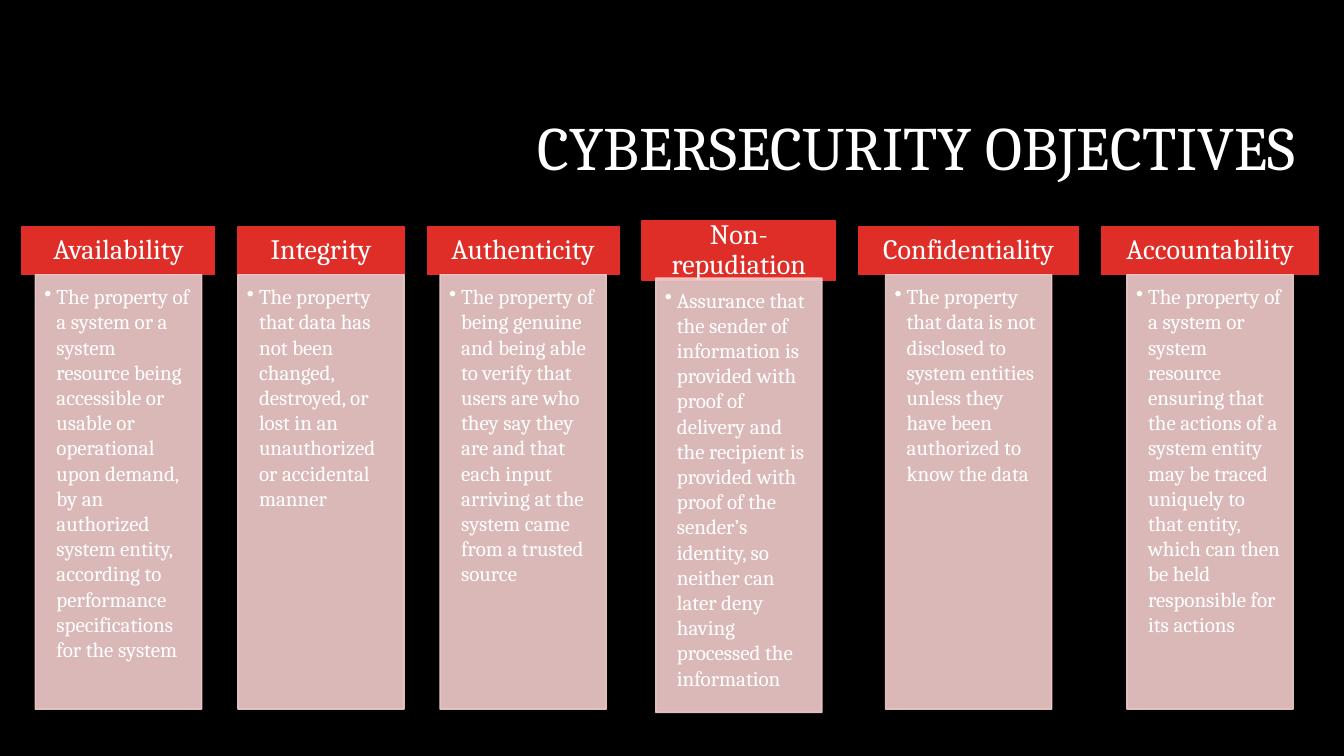
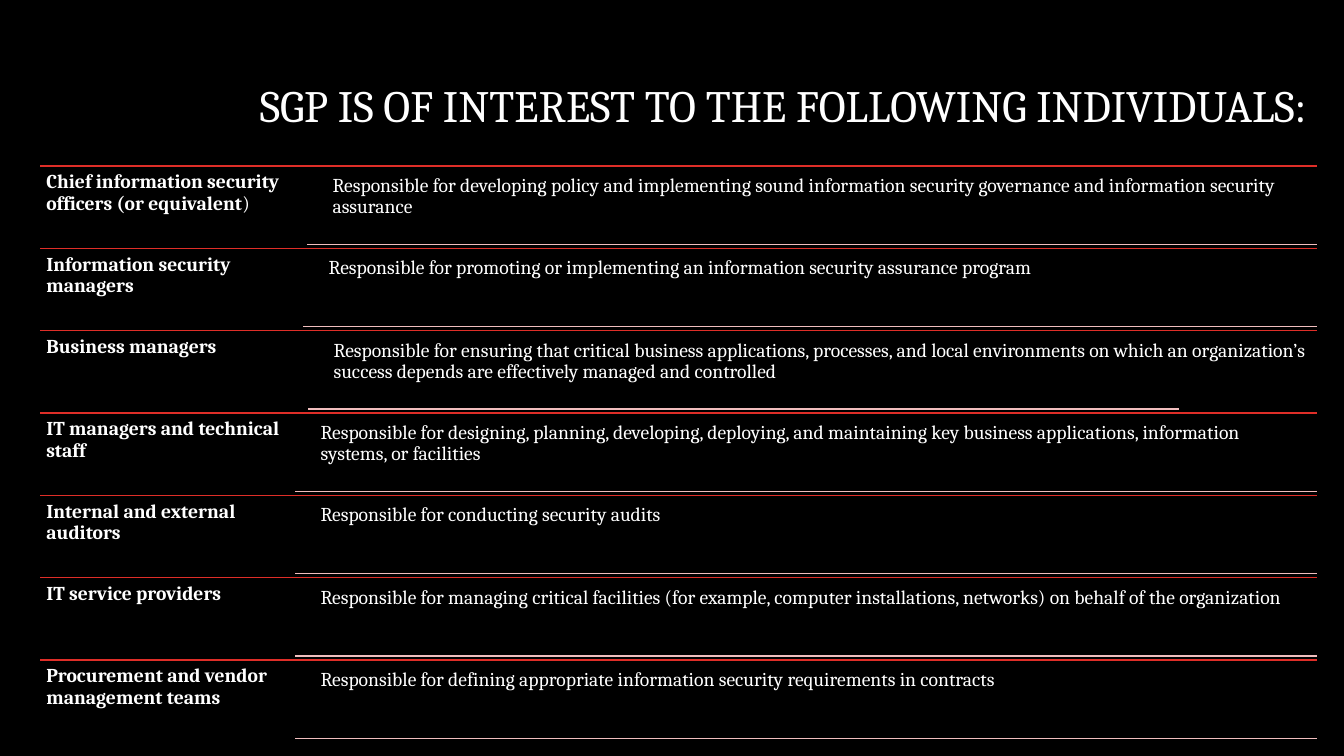
from lxml import etree
from pptx import Presentation
from pptx.dml.color import RGBColor
from pptx.enum.shapes import MSO_CONNECTOR, MSO_SHAPE
from pptx.enum.text import MSO_ANCHOR, PP_ALIGN
from pptx.oxml.ns import qn
from pptx.util import Inches, Pt

RECTANGLE = MSO_SHAPE.RECTANGLE
STRAIGHT = MSO_CONNECTOR.STRAIGHT
TOP, MIDDLE = MSO_ANCHOR.TOP, MSO_ANCHOR.MIDDLE
LEFT, CENTER, RIGHT = PP_ALIGN.LEFT, PP_ALIGN.CENTER, PP_ALIGN.RIGHT

BLACK = RGBColor(0x00, 0x00, 0x00)
WHITE = RGBColor(0xFF, 0xFF, 0xFF)
RED = RGBColor(0xDF, 0x2E, 0x28)
PALE_RED = RGBColor(0xF3, 0xCD, 0xCD)
PINK = RGBColor(0xF0, 0xBE, 0xBE)

FONT = "Cambria"
COLUMNS, ROWS = 160, 90
WIDTH, HEIGHT = Inches(13.333), Inches(7.5)

CARD_LEFT, CARD_GAP = 2.64, 2.76
HEADER_TOP, HEADER_HEIGHT = 27, 5.7
PANEL_WIDTH, PANEL_HEIGHT = 19.8, 51.72
PANEL_TOP = HEADER_TOP + HEADER_HEIGHT

TABLE_LEFT, TABLE_RIGHT = 4.8, 156.84
TABLE_TOP, TABLE_STEP = 19.76, 9.8
TEXT_INDENT, TEXT_DROP, TEXT_HEIGHT = 2.28, 0.44, 8.9

OBJECTIVES = [
    ("Availability", 22.92, 0, 0,
     "The property of a system or a system resource being accessible or usable or "
     "operational upon demand, by an authorized system entity, according to "
     "performance specifications for the system"),
    ("Integrity", 19.8, 0, 0,
     "The property that data has not been changed, destroyed, or lost in an "
     "unauthorized or accidental manner"),
    ("Authenticity", 22.8, 0, 0,
     "The property of being genuine and being able to verify that users are who "
     "they say they are and that each input arriving at the system came from a "
     "trusted source"),
    ("Non-repudiation", 23.04, 1.4, 0.4,
     "Assurance that the sender of information is provided with proof of delivery "
     "and the recipient is provided with proof of the sender’s identity, so "
     "neither can later deny having processed the information"),
    ("Confidentiality", 26.16, 0, 0,
     "The property that data is not disclosed to system entities unless they have "
     "been authorized to know the data"),
    ("Accountability", 25.8, 0, 0,
     "The property of a system or system resource ensuring that the actions of a "
     "system entity may be traced uniquely to that entity, which can then be held "
     "responsible for its actions"),
]

INDIVIDUALS = [
    ("Chief information security officers (or equivalent", ")", 31.8, TABLE_RIGHT,
     "Responsible for developing policy and implementing sound information security "
     "governance and information security assurance"),
    ("Information security managers", "", 31.32, TABLE_RIGHT,
     "Responsible for promoting or implementing an information security assurance "
     "program"),
    ("Business managers", "", 31.92, 140.4,
     "Responsible for ensuring that critical business applications, processes, and "
     "local environments on which an organization’s success depends are effectively "
     "managed and controlled"),
    ("IT managers and technical staff", "", 30.36, TABLE_RIGHT,
     "Responsible for designing, planning, developing, deploying, and maintaining "
     "key business applications, information systems, or facilities"),
    ("Internal and external auditors", "", 30.36, TABLE_RIGHT,
     "Responsible for conducting security audits"),
    ("IT service providers", "", 30.36, TABLE_RIGHT,
     "Responsible for managing critical facilities (for example, computer "
     "installations, networks) on behalf of the organization"),
    ("Procurement and vendor management teams", "", 30.36, TABLE_RIGHT,
     "Responsible for defining appropriate information security requirements in "
     "contracts"),
]


def across(columns):
    return round(WIDTH * columns / COLUMNS)


def down(rows):
    return round(HEIGHT * rows / ROWS)


def place(left, top, width, height):
    return across(left), down(top), across(width), down(height)


def write(box, text, size, tail="", bold=False, align=LEFT, anchor=TOP,
          spacing=0.9, insets=(0.06, 0.06, 0.06, 0.06), bullet=False):
    frame = box.text_frame
    frame.word_wrap = True
    frame.vertical_anchor = anchor
    (frame.margin_left, frame.margin_top,
     frame.margin_right, frame.margin_bottom) = map(Inches, insets)
    para = frame.paragraphs[0]
    para.alignment = align
    para.line_spacing = spacing
    if bullet:
        add_bullet(para)
    for content, weight in ((text, bold), (tail, False)):
        if content:
            span = para.add_run()
            span.text = content
            span.font.name = FONT
            span.font.size = Pt(size)
            span.font.bold = weight
            span.font.color.rgb = WHITE


def add_bullet(para):
    properties = para._p.get_or_add_pPr()
    properties.set("marL", str(Inches(0.12)))
    properties.set("indent", str(-Inches(0.12)))
    etree.SubElement(properties, qn("a:buChar")).set("char", "•")


def add_text(page, area, text, size, **style):
    box = page.shapes.add_textbox(*place(*area))
    write(box, text, size, **style)


def add_block(page, area, color, text, size, opacity=100, **style):
    block = page.shapes.add_shape(RECTANGLE, *place(*area))
    block.shadow.inherit = False
    block.fill.solid()
    block.fill.fore_color.rgb = color
    block.line.color.rgb = color
    block.line.width = Pt(1)
    if opacity < 100:
        for paint in block._element.spPr.iter(qn("a:srgbClr")):
            etree.SubElement(paint, qn("a:alpha")).set("val", str(opacity * 1000))
    write(block, text, size, **style)


def add_rule(page, left, right, top, color):
    rule = page.shapes.add_connector(
        STRAIGHT, across(left), down(top), across(right), down(top))
    rule.line.color.rgb = color
    rule.line.width = Pt(1)
    etree.SubElement(rule._element.spPr, qn("a:effectLst"))


def add_page(deck, title, area, size):
    page = deck.slides.add_slide(deck.slide_layouts[6])
    page.background.fill.solid()
    page.background.fill.fore_color.rgb = BLACK
    add_text(page, area, title, size, align=RIGHT, anchor=MIDDLE,
             insets=(0.1, 0.05, 0.1, 0.05))
    return page


def add_objective(page, left, name, width, growth, drop, meaning):
    header = (left, HEADER_TOP - growth / 2, width, HEADER_HEIGHT + growth)
    add_block(page, header, RED, name, 20, align=CENTER, anchor=MIDDLE,
              insets=(0.16, 0.09, 0.16, 0.09))
    panel = (left + (width - PANEL_WIDTH) / 2, PANEL_TOP + drop,
             PANEL_WIDTH, PANEL_HEIGHT)
    add_block(page, panel, PALE_RED, meaning, 15, opacity=90, spacing=1.0,
              insets=(0.09, 0.09, 0.12, 0.13), bullet=True)


def add_individual(page, top, name, tail, width, rule_end, duty):
    add_rule(page, TABLE_LEFT, TABLE_RIGHT, top, RED)
    add_text(page, (TABLE_LEFT, top, width, TABLE_STEP), name, 14,
             tail=tail, bold=True)
    name_end = TABLE_LEFT + width
    duty_left = name_end + TEXT_INDENT
    duty_top = top + TEXT_DROP
    add_text(page, (duty_left, duty_top, TABLE_RIGHT - duty_left, TEXT_HEIGHT),
             duty, 14)
    add_rule(page, name_end, rule_end, duty_top + TEXT_HEIGHT, PINK)


def main():
    deck = Presentation()
    deck.slide_width, deck.slide_height = WIDTH, HEIGHT

    page = add_page(deck, "CYBERSECURITY OBJECTIVES", (38.52, 9.48, 117, 16.8), 44)
    left = CARD_LEFT
    for name, width, growth, drop, meaning in OBJECTIVES:
        add_objective(page, left, name, width, growth, drop, meaning)
        left += width + CARD_GAP

    page = add_page(deck, "SGP IS OF INTEREST TO THE FOLLOWING INDIVIDUALS:",
                    (0, 4.44, TABLE_RIGHT, 16.92), 32)
    for index, individual in enumerate(INDIVIDUALS):
        add_individual(page, TABLE_TOP + index * TABLE_STEP, *individual)

    deck.save("out.pptx")


if __name__ == "__main__":
    main()
